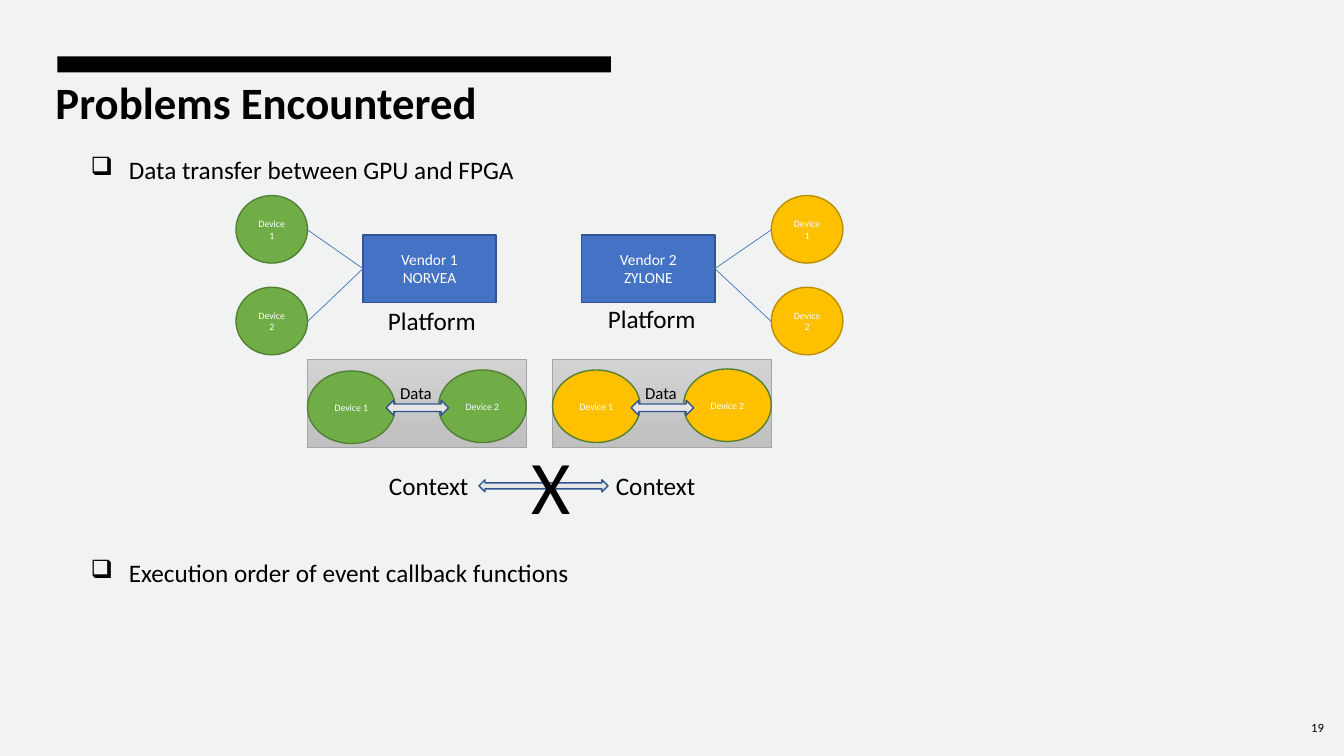
from lxml import etree
from pptx import Presentation, util as u
from pptx.dml.color import RGBColor
from pptx.enum import shapes, text
from pptx.oxml.ns import qn

BACKGROUND = RGBColor(0xF0, 0xF3, 0xF1)
BLACK = RGBColor(0, 0, 0)
WHITE = RGBColor(0xFF, 0xFF, 0xFF)
BLUE = RGBColor(0x44, 0x72, 0xC4)
DARK_BLUE = RGBColor(0x32, 0x54, 0x91)
GREEN = RGBColor(0x70, 0xAD, 0x47)
DARK_GREEN = RGBColor(0x53, 0x80, 0x35)
GOLD = RGBColor(0xFF, 0xC0, 0x00)
DARK_GOLD = RGBColor(0xBD, 0x8E, 0x00)
PALE_GRAY = RGBColor(0xE7, 0xE6, 0xE6)
GRAY = RGBColor(0xA5, 0xA5, 0xA5)
CONTEXT_TOP = RGBColor(0xD2, 0xD2, 0xD2)
CONTEXT_BOTTOM = RGBColor(0xC0, 0xC0, 0xC0)

KIND = shapes.MSO_SHAPE
ALIGN = text.PP_ALIGN
ANCHOR = text.MSO_ANCHOR


class SlideBuilder:
    font = "Calibri"

    def __init__(self, presentation):
        self.slide = presentation.slides.add_slide(presentation.slide_layouts[5])
        self.slide.background.fill.solid()
        self.slide.background.fill.fore_color.rgb = BACKGROUND

    def set_text(self, shape, lines, size, color=BLACK, align=ALIGN.LEFT,
                 anchor=ANCHOR.TOP, bold=False):
        frame = shape.text_frame
        frame.text = lines
        frame.vertical_anchor = anchor
        for paragraph in frame.paragraphs:
            paragraph.alignment = align
            paragraph.font.name = self.font
            paragraph.font.size = u.Pt(size)
            paragraph.font.bold = bold
            paragraph.font.color.rgb = color

    def title(self, words, *box):
        shape = self.slide.shapes.title
        shape.left, shape.top, shape.width, shape.height = map(u.Inches, box)
        shape.text_frame.auto_size = text.MSO_AUTO_SIZE.NONE
        self.set_text(shape, words, 32, bold=True)

    def label(self, words, size, *box, wrap=True, **style):
        shape = self.slide.shapes.add_textbox(*map(u.Inches, box))
        shape.text_frame.word_wrap = wrap
        self.set_text(shape, words, size, **style)
        return shape

    def bullet(self, words, top):
        shape = self.label(words, 18, 0.5, top, 12.33, 0.45)
        paragraph = shape.text_frame.paragraphs[0]
        paragraph.line_spacing = 1.1
        paragraph.space_before = u.Pt(5)
        properties = paragraph._p.get_or_add_pPr()
        properties.set("marL", str(u.Inches(0.68)))
        properties.set("indent", str(u.Inches(-0.38)))
        mark = etree.Element(qn("a:buChar"), char="❑")
        properties.find(qn("a:spcBef")).addnext(mark)

    def box(self, kind, fill, line, *box, words="", size=7, weight=1):
        shape = self.slide.shapes.add_shape(kind, *map(u.Inches, box))
        shape.shadow.inherit = False
        shape.fill.solid()
        shape.fill.fore_color.rgb = fill
        if line is None:
            shape.line.fill.background()
        else:
            shape.line.color.rgb = line
            shape.line.width = u.Pt(weight)
        if words:
            self.set_text(shape, words, size, WHITE, ALIGN.CENTER, ANCHOR.MIDDLE)
        return shape

    def context(self, *box):
        shape = self.box(KIND.RECTANGLE, CONTEXT_TOP, GRAY, *box, weight=0.5)
        shape.fill.gradient()
        shape.fill.gradient_angle = 270
        for stop, color in zip(shape.fill.gradient_stops, (CONTEXT_TOP, CONTEXT_BOTTOM)):
            stop.color.rgb = color

    def arrow(self, *box):
        self.box(KIND.LEFT_RIGHT_ARROW, PALE_GRAY, DARK_BLUE, *box)

    def link(self, x, y, vendor, side):
        line = self.slide.shapes.add_connector(
            shapes.MSO_CONNECTOR.STRAIGHT, u.Inches(x), u.Inches(y), 0, 0)
        line.end_connect(vendor, side)
        line.line.color.rgb = BLUE
        line.line.width = u.Pt(0.5)
        etree.SubElement(line._element.spPr, qn("a:effectLst"))

    def platform(self, name, left, devices_left, link_x, side, fill, line):
        vendor = self.box(KIND.RECTANGLE, BLUE, DARK_BLUE, left, 2.33, 1.32, 0.67,
                          words=name, size=11)
        for number, top in enumerate((1.94, 2.85), 1):
            self.box(KIND.OVAL, fill, line, devices_left, top, 0.71, 0.67,
                     words=f"Device {number}")
            self.link(link_x, top + 0.34, vendor, side)

    def data_exchange(self, left, top, fill):
        self.context(left, 3.57, 2.17, 0.87)
        self.box(KIND.OVAL, fill, DARK_GREEN, left, top, 0.87, 0.72, words="Device 1")
        self.label("Data", 12, left + 0.82, 3.75, 0.52, 0.3, wrap=False)
        self.box(KIND.OVAL, fill, DARK_GREEN, left + 1.3, top - 0.01, 0.87, 0.72,
                 words="Device 2")
        self.arrow(left + 0.78, 3.97, 0.62, 0.15)


def main():
    presentation = Presentation()
    presentation.slide_width = u.Inches(13.33)
    presentation.slide_height = u.Inches(7.5)
    builder = SlideBuilder(presentation)

    builder.box(KIND.RECTANGLE, BLACK, None, 0.57, 0.56, 5.49, 0.16)
    builder.title("Problems Encountered", 0.45, 0.69, 9.8, 0.81)
    builder.label("19", 9, 12.53, 7.02, 0.7, 0.4, align=ALIGN.RIGHT, anchor=ANCHOR.MIDDLE)
    builder.bullet("Data transfer between GPU and FPGA", 1.45)
    builder.bullet("Execution order of event callback functions", 5.45)

    builder.platform("Vendor 1\nNORVEA", 3.6, 2.34, 3.05, 1, GREEN, DARK_GREEN)
    builder.platform("Vendor 2\nZYLONE", 5.77, 7.65, 7.65, 3, GOLD, DARK_GOLD)
    builder.label("Platform", 18, 3.75, 2.98, 1.17, 0.4)
    builder.label("Platform", 18, 5.93, 2.96, 1.17, 0.4)

    builder.data_exchange(3.05, 3.68, GREEN)
    builder.data_exchange(5.48, 3.67, GOLD)
    for left in (3.76, 6.01):
        builder.label("Context", 18, left, 4.62, 1, 0.4)
    builder.arrow(4.75, 4.76, 1.28, 0.12)
    builder.label("X", 54, 5.17, 4.3, 0.59, 1.01, wrap=False, align=ALIGN.CENTER)

    presentation.save("out.pptx")


if __name__ == "__main__":
    main()
